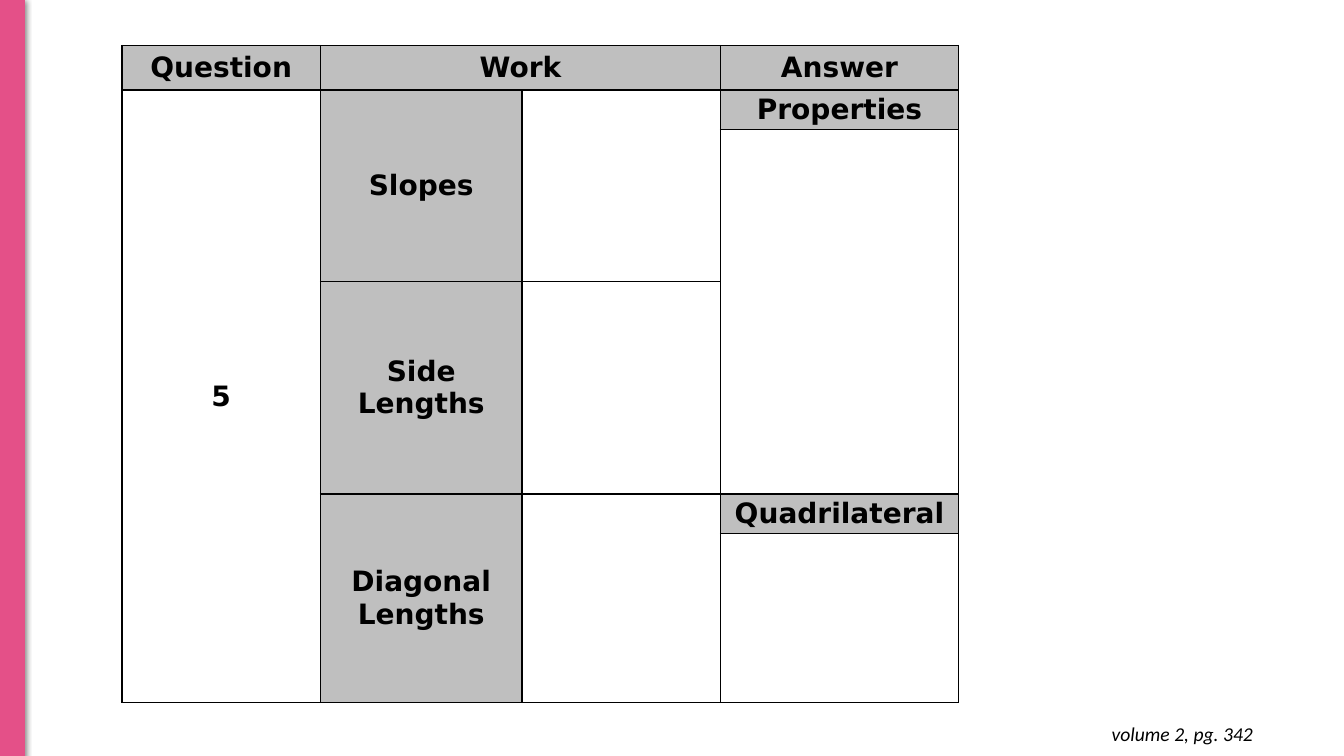
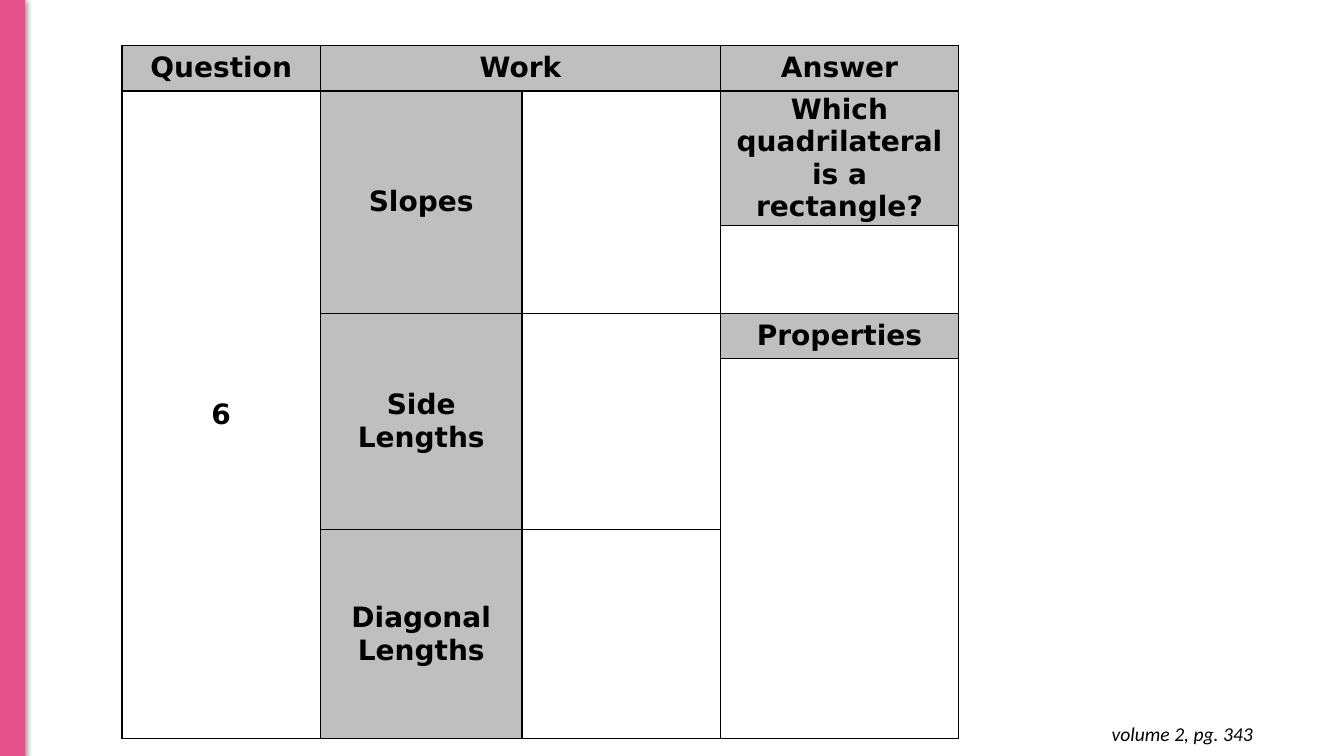
from lxml.etree import SubElement
from pptx import Presentation
from pptx.dml.color import RGBColor
from pptx.enum.shapes import MSO_SHAPE
from pptx.enum.text import MSO_ANCHOR, MSO_AUTO_SIZE, PP_ALIGN
from pptx.oxml.ns import qn
from pptx.util import Pt

COLORS = {"band": "E45088", "label": "BFBFBF", "ink": "000000"}
TIGHT = (2.9, 0)
LOOSE = (7.9, 4.3)
COLUMN_WIDTHS = (141.8, 144, 141.8, 170)
TABLE_LEFT, TABLE_TOP = 87.1, 32.4

HEADER = [
    (0, 0, 1, 1, "Question", TIGHT),
    (0, 1, 1, 2, "Work", LOOSE),
    (0, 3, 1, 1, "Answer", TIGHT),
]
WORK_STEPS = [("Slopes", LOOSE), ("Side Lengths", TIGHT), ("Diagonal Lengths", LOOSE)]

WORKSHEETS = [
    {
        "question": "5",
        "footer": "volume 2, pg. 342",
        "rows": (28, 28, 108.7, 152, 28, 121),
        "work_spans": ((1, 2), (3, 1), (4, 2)),
        "answers": [
            (1, 1, "Properties", TIGHT),
            (2, 2, "", TIGHT),
            (4, 1, "Quadrilateral", TIGHT),
            (5, 1, "", TIGHT),
        ],
    },
    {
        "question": "6",
        "footer": "volume 2, pg. 343",
        "rows": (28, 28, 62.6, 28, 121.7, 149.8),
        "work_spans": ((1, 2), (3, 2), (5, 1)),
        "answers": [
            (1, 1, "Which quadrilateral is a rectangle?", TIGHT),
            (2, 1, "", TIGHT),
            (3, 1, "Properties", LOOSE),
            (4, 2, "", TIGHT),
        ],
    },
]


def color(name):
    return RGBColor.from_string(COLORS[name])


def style_font(para, name, size, bold=False, italic=False):
    font = para.font
    font.name, font.size = name, Pt(size)
    font.bold, font.italic = bold, italic
    font.color.rgb = color("ink")


def add_band(page, height):
    band = page.shapes.add_shape(MSO_SHAPE.RECTANGLE, 0, Pt(-0.5), Pt(17.5), height + Pt(1))
    band.fill.solid()
    band.fill.fore_color.rgb = color("band")
    band.line.color.rgb = color("band")
    band.line.width = Pt(0.75)
    band.shadow.inherit = False
    effects = band._element.spPr.find(qn("a:effectLst"))
    shadow = SubElement(effects, qn("a:outerShdw"), blurRad=str(Pt(4.5)),
                        dist=str(Pt(1.5)), dir="5400000", rotWithShape="0")
    tint = SubElement(shadow, qn("a:srgbClr"), val=COLORS["ink"])
    SubElement(tint, qn("a:alpha"), val="50000")


def style_cell(cell):
    properties = cell._tc.get_or_add_tcPr()
    for side in ("lnL", "lnR", "lnT", "lnB"):
        border = SubElement(properties, qn(f"a:{side}"), w=str(Pt(1)))
        paint = SubElement(border, qn("a:solidFill"))
        SubElement(paint, qn("a:srgbClr"), val=COLORS["ink"])
    cell.fill.background()
    cell.margin_left = cell.margin_right = Pt(TIGHT[0])
    cell.margin_top = cell.margin_bottom = Pt(TIGHT[1])
    cell.vertical_anchor = MSO_ANCHOR.MIDDLE
    para = cell.text_frame.paragraphs[0]
    para.alignment = PP_ALIGN.CENTER
    style_font(para, "DejaVu Sans", 20, bold=True)


def worksheet_cells(sheet):
    cells = HEADER + [(1, 0, 5, 1, sheet["question"], LOOSE)]
    for (label, padding), (row, span) in zip(WORK_STEPS, sheet["work_spans"]):
        cells += [(row, 1, span, 1, label, padding), (row, 2, span, 1, "", TIGHT)]
    return cells + [(row, 3, span, 1, text, padding)
                    for row, span, text, padding in sheet["answers"]]


def add_worksheet(page, sheet):
    rows = sheet["rows"]
    frame = page.shapes.add_table(len(rows), len(COLUMN_WIDTHS), Pt(TABLE_LEFT), Pt(TABLE_TOP),
                                  Pt(sum(COLUMN_WIDTHS)), Pt(sum(rows)))
    table = frame.table
    table.first_row = table.horz_banding = False
    for column, width in zip(table.columns, COLUMN_WIDTHS):
        column.width = Pt(width)
    for row, height in zip(table.rows, rows):
        row.height = Pt(height)
    for cell in table.iter_cells():
        style_cell(cell)
    for row, column, row_span, column_span, text, padding in worksheet_cells(sheet):
        cell = table.cell(row, column)
        if row_span * column_span > 1:
            cell.merge(table.cell(row + row_span - 1, column + column_span - 1))
        cell.margin_left = cell.margin_right = Pt(padding[0])
        cell.margin_top = cell.margin_bottom = Pt(padding[1])
        if text:
            cell.text_frame.paragraphs[0].add_run().text = text
        if text and text != sheet["question"]:
            cell.fill.solid()
            cell.fill.fore_color.rgb = color("label")


def add_footer(page, text):
    box = page.shapes.add_textbox(Pt(694.8), Pt(508.3), Pt(207.4), Pt(31.7))
    frame = box.text_frame
    frame.word_wrap = True
    frame.auto_size = MSO_AUTO_SIZE.SHAPE_TO_FIT_TEXT
    frame.margin_left = frame.margin_right = Pt(7.2)
    frame.margin_top = frame.margin_bottom = Pt(7.2)
    para = frame.paragraphs[0]
    para.text = text
    para.alignment = PP_ALIGN.RIGHT
    style_font(para, "Calibri", 14, italic=True)


def main():
    deck = Presentation()
    deck.slide_width, deck.slide_height = Pt(960), Pt(540)
    for sheet in WORKSHEETS:
        page = deck.slides.add_slide(deck.slide_layouts[6])
        add_band(page, deck.slide_height)
        add_worksheet(page, sheet)
        add_footer(page, sheet["footer"])
    deck.save("out.pptx")


if __name__ == "__main__":
    main()
